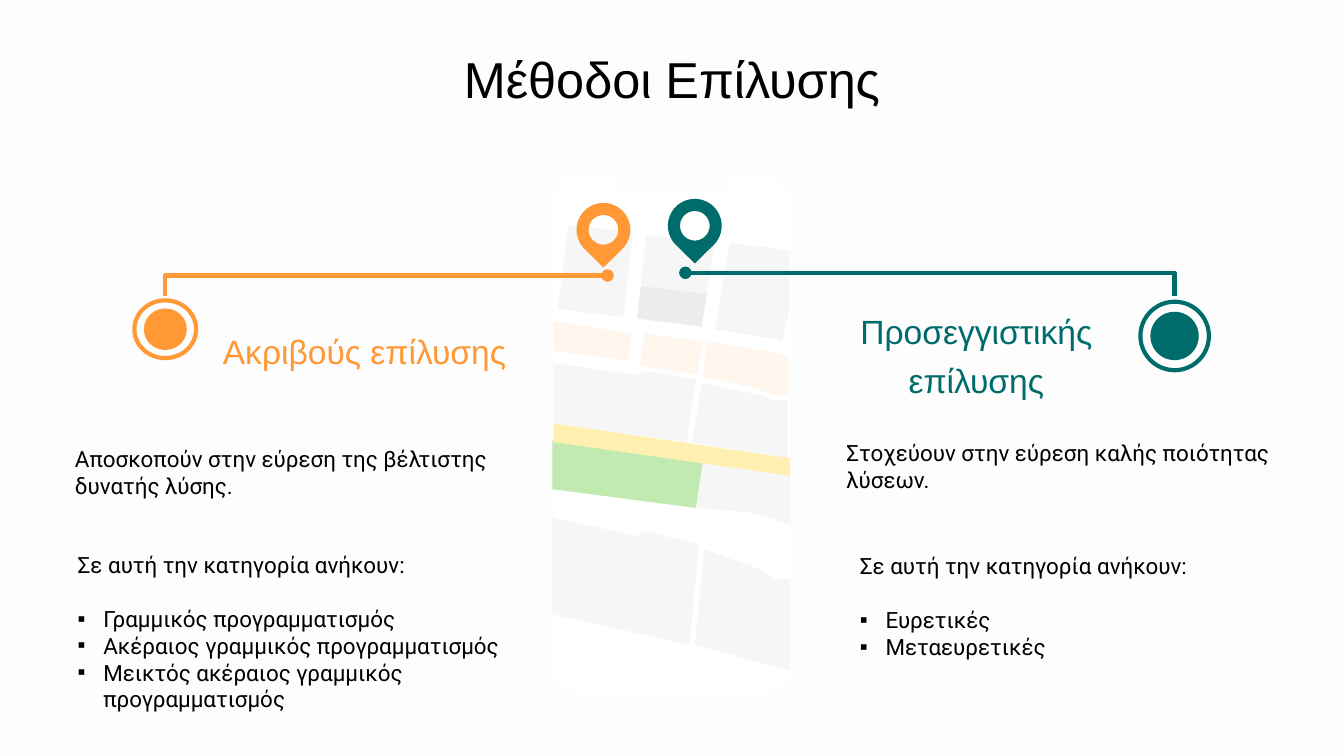
import math

import lxml.etree
import pptx
import pptx.dml.color
import pptx.enum.shapes
import pptx.enum.text
import pptx.oxml.ns
import pptx.util

Inches = pptx.util.Inches
Pt = pptx.util.Pt
qn = pptx.oxml.ns.qn
SHAPES = pptx.enum.shapes.MSO_SHAPE
ALIGN = pptx.enum.text.PP_ALIGN
COLORS = {
    "background": "FDFDFD", "text": "000000", "orange": "FF9835",
    "teal": "006B6B", "phone": "FFFFFF", "block": "F6F6F6",
    "dark_block": "ECECEC", "sand": "FFF6ED", "park": "C0EAAF",
    "road": "FFF0B2",
}
PHONE_ARCS = [
    (4.3, 1.48, 0.18, 180, 270), (4.51, 1.36, 0.06, 270, 360),
    (4.63, 1.36, 0.06, 180, 90), (5.36, 1.36, 0.06, 90, 0),
    (5.48, 1.36, 0.06, 180, 270), (5.7, 1.48, 0.18, 270, 360),
    (5.7, 4.98, 0.18, 0, 90), (4.3, 4.98, 0.18, 90, 180),
]
MAP_TILES = [
    ("block", [(4.23, 1.67), (4.15, 2.3), (4.64, 2.36), (4.71, 1.73)]),
    ("block", [(4.81, 1.75), (4.74, 2.37), (5.22, 2.43), (5.32, 1.8)]),
    ("dark_block", [(4.77, 2.13), (4.74, 2.37), (5.22, 2.43), (5.26, 2.19)]),
    ("block", [(5.43, 1.81), (5.32, 2.45), (5.82, 2.53), (5.87, 2.31), (5.87, 1.86)]),
    ("sand", [(4.12, 2.39), (4.12, 2.61), (4.67, 2.68), (4.7, 2.48)]),
    ("sand", [(4.8, 2.48), (4.76, 2.72), (5.19, 2.79), (5.23, 2.54)]),
    ("sand", [(5.26, 2.54), (5.23, 2.8), (5.63, 2.89), (5.76, 2.94), (5.86, 2.94),
              (5.86, 2.64)]),
    ("block", [(4.12, 2.7), (4.12, 3.15), (5.11, 3.29), (5.18, 2.82), (4.78, 2.76),
               (4.74, 2.79)]),
    ("block", [(5.22, 2.85), (5.15, 3.29), (5.86, 3.41), (5.86, 2.98), (5.75, 2.98),
               (5.65, 2.94)]),
    ("park", [(4.11, 3.27), (4.11, 3.64), (5.18, 3.78), (5.23, 3.44)]),
    ("block", [(5.23, 3.44), (5.18, 3.78), (5.56, 3.81), (5.88, 3.9), (5.88, 3.5)]),
    ("road", [(4.12, 3.15), (4.12, 3.29), (5.88, 3.54), (5.88, 3.41)]),
    ("block", [(4.11, 3.85), (4.11, 4.57), (5.13, 4.8), (5.2, 4.05), (4.79, 3.95),
               (4.74, 3.99)]),
    ("block", [(5.24, 4.09), (5.17, 4.8), (5.88, 4.99), (5.88, 4.31), (5.77, 4.31),
               (5.67, 4.24)]),
]


def rgb(name):
    """Return the palette colour of that name."""
    return pptx.dml.color.RGBColor.from_string(COLORS[name])


def arc(x, y, radius, start, stop):
    """Return points along an arc, with angles in degrees."""
    steps = max(8, abs(stop - start) // 6)
    angles = [math.radians(start + (stop - start) * i / steps) for i in range(steps + 1)]
    return [(x + radius * math.cos(a), y + radius * math.sin(a)) for a in angles]


class SlideBuilder:
    """Hold the style and the current slide."""

    def __init__(self, prs):
        """Add a title-only slide with a plain background."""
        self.slide = prs.slides.add_slide(prs.slide_layouts[5])
        self.shapes = self.slide.shapes
        fill = self.slide.background.fill
        fill.solid()
        fill.fore_color.rgb = rgb("background")

    def run(self, p, text, size, font, color):
        """Add a styled run to a paragraph."""
        r = p.add_run()
        r.text = text
        r.font.size = Pt(size)
        r.font.name = font
        r.font.color.rgb = rgb(color)

    def frame(self, sp):
        """Set the margins, wrapping and anchor of a text frame."""
        tf = sp.text_frame
        tf.word_wrap = True
        tf.vertical_anchor = pptx.enum.text.MSO_ANCHOR.MIDDLE
        tf.margin_left = tf.margin_right = tf.margin_top = tf.margin_bottom = Inches(0.1)
        return tf

    def textbox(self, box):
        """Add a text box and return its frame."""
        return self.frame(self.shapes.add_textbox(*map(Inches, box)))

    def title(self, text, box):
        """Place and fill the title placeholder."""
        sp = self.shapes.title
        sp.left, sp.top, sp.width, sp.height = map(Inches, box)
        p = self.frame(sp).paragraphs[0]
        p.alignment = ALIGN.CENTER
        self.run(p, text, 27, "Arial", "text")

    def heading(self, text, box, color, align):
        """Add a coloured heading."""
        p = self.textbox(box).paragraphs[0]
        p.alignment = align
        p.line_spacing = Pt(26)
        self.run(p, text, 18, "Arial", color)

    def body(self, text, box, bullets=()):
        """Add body text with an optional bullet list below it."""
        tf = self.textbox(box)
        self.run(tf.paragraphs[0], text, 12, "Roboto", "text")
        for i, bullet in enumerate(bullets):
            p = tf.add_paragraph()
            pPr = p._p.get_or_add_pPr()
            pPr.set("marL", str(Inches(0.19)))
            pPr.set("indent", str(-Inches(0.19)))
            lxml.etree.SubElement(pPr, qn("a:buFont")).set("typeface", "Arial")
            lxml.etree.SubElement(pPr, qn("a:buChar")).set("char", "▪")
            p.space_before = Pt(0 if i else 14.5)
            self.run(p, bullet, 12, "Roboto", "text")

    def outline(self, color, *contours):
        """Add a filled freeform made of closed contours."""
        contours = [[(Inches(x), Inches(y)) for x, y in c] for c in contours]
        builder = self.shapes.build_freeform(*contours[0][0])
        builder.add_line_segments(contours[0][1:], close=True)
        for contour in contours[1:]:
            builder.move_to(*contour[0])
            builder.add_line_segments(contour[1:], close=True)
        sp = builder.convert_to_shape()
        sp.shadow.inherit = False
        sp.fill.solid()
        sp.fill.fore_color.rgb = rgb(color)
        sp.line.fill.background()

    def pin(self, x, y, color):
        """Add a map pin around a centre point."""
        drop = arc(x, y, 0.2, 135, 405) + [(x, y + 0.28)]
        self.outline(color, drop, arc(x, y, 0.11, 360, 0))

    def target(self, x, y, dot, ring, color):
        """Add a dot inside a ring, each given as width and height."""
        for (w, h), filled in ((dot, True), (ring, False)):
            box = map(Inches, (x - w / 2, y - h / 2, w, h))
            sp = self.shapes.add_shape(SHAPES.OVAL, *box)
            sp.shadow.inherit = False
            if filled:
                sp.fill.solid()
                sp.fill.fore_color.rgb = rgb(color)
                sp.line.fill.background()
            else:
                sp.fill.background()
                sp.line.color.rgb = rgb(color)
                sp.line.width = Pt(2.25)

    def elbow(self, start, end, color):
        """Add a one-bend connector that rises from start, then runs to end."""
        (x1, y1), (x2, y2) = start, end
        rightward = x2 > x1
        half_w, half_h = abs(y2 - y1) / 2, abs(x2 - x1) / 2
        mid_x, mid_y = (x1 + x2) / 2, (y1 + y2) / 2
        side = half_w if rightward else -half_w
        ends = (mid_x - side, mid_y - half_h, mid_x + side, mid_y + half_h)
        sp = self.shapes.add_connector(
            pptx.enum.shapes.MSO_CONNECTOR.ELBOW, *map(Inches, ends))
        sp.line.color.rgb = rgb(color)
        sp.line.width = Pt(2.25)
        spPr = sp._element.spPr
        spPr.find(qn("a:xfrm")).set("rot", str((270 if rightward else 90) * 60000))
        spPr.find(qn("a:prstGeom")).set("prst", "bentConnector2")
        lxml.etree.SubElement(spPr.find(qn("a:ln")), qn("a:tailEnd")).set("type", "oval")
        lxml.etree.SubElement(spPr, qn("a:effectLst"))


def main():
    """Build and save the slide."""
    prs = pptx.Presentation()
    prs.slide_width = Inches(10)
    prs.slide_height = prs.slide_width * 9 // 16
    s = SlideBuilder(prs)
    s.outline("phone", [point for a in PHONE_ARCS for point in arc(*a)])
    for color, points in MAP_TILES:
        s.outline(color, points)
    s.title("Μέθοδοι Επίλυσης", (0.55, 0.52, 8.9, 0.12))
    s.target(1.23, 2.45, (0.32, 0.31), (0.46, 0.43), "orange")
    s.target(8.74, 2.5, (0.36, 0.36), (0.51, 0.51), "teal")
    s.elbow((1.23, 2.2), (4.52, 2.05), "orange")
    s.elbow((8.74, 2.2), (5.1, 2.03), "teal")
    s.pin(4.49, 1.71, "orange")
    s.pin(5.17, 1.68, "teal")
    s.heading("Ακριβούς επίλυσης", (1.56, 2.33, 2.51, 0.51), "orange", ALIGN.LEFT)
    s.heading("Προσεγγιστικής επίλυσης", (6.01, 2.36, 2.51, 0.51), "teal", ALIGN.CENTER)
    s.body("Αποσκοπούν στην εύρεση της βέλτιστης δυνατής λύσης.", (0.46, 2.85, 3.5, 1.33))
    s.body("Στοχεύουν στην εύρεση καλής ποιότητας λύσεων.", (6.2, 2.8, 3.36, 1.33))
    category = "Σε αυτή την κατηγορία ανήκουν:"
    s.body(category, (0.48, 4.04, 3.48, 1.32), [
        "Γραμμικός προγραμματισμός", "Ακέραιος γραμμικός προγραμματισμός",
        "Μεικτός ακέραιος γραμμικός προγραμματισμός"])
    s.body(category, (6.3, 3.85, 3.48, 1.32), ["Ευρετικές", "Μεταευρετικές"])
    prs.save("out.pptx")


if __name__ == "__main__":
    main()
